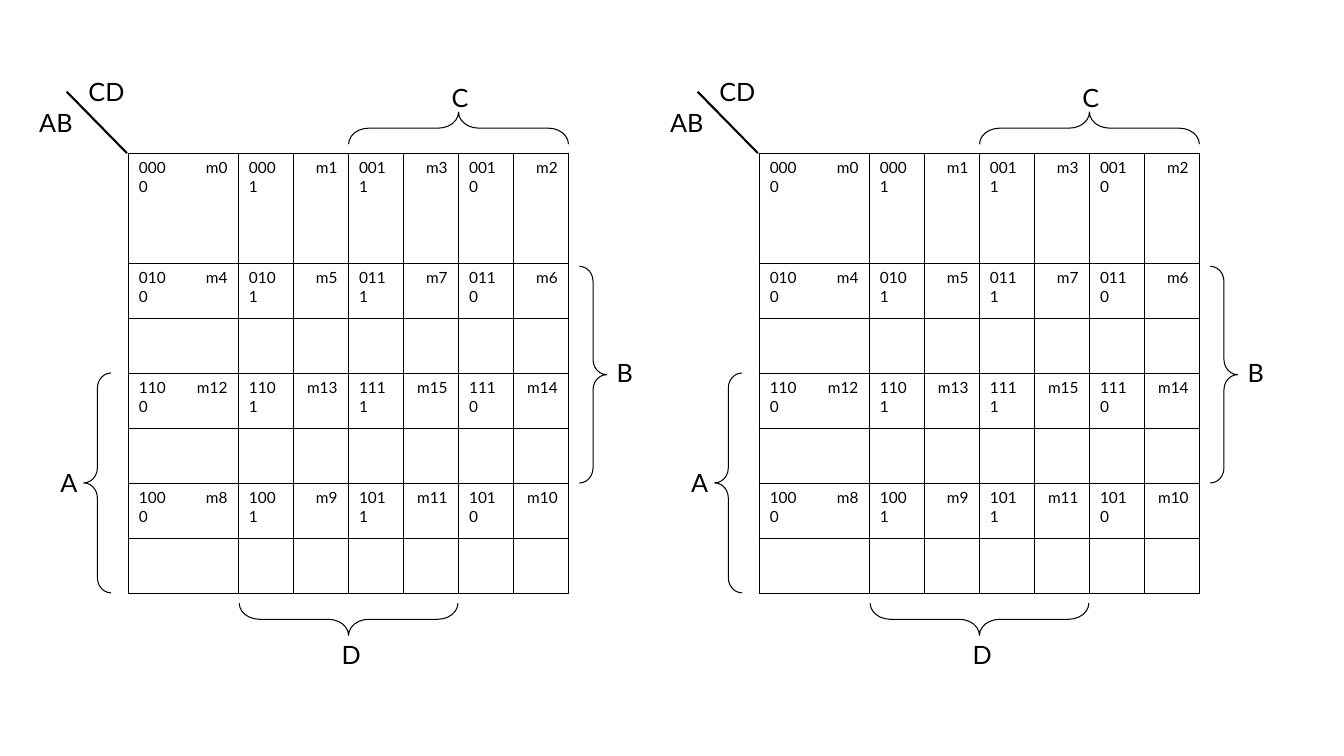
from dataclasses import dataclass

from lxml import etree
from pptx import Presentation
from pptx.dml.color import RGBColor
from pptx.enum.shapes import MSO_CONNECTOR, MSO_SHAPE
from pptx.enum.text import MSO_AUTO_SIZE, PP_ALIGN
from pptx.oxml.ns import qn
from pptx.slide import Slide
from pptx.table import _Cell
from pptx.text.text import _Paragraph
from pptx.util import Cm, Pt

LEFT_BRACE = MSO_SHAPE.LEFT_BRACE
STRAIGHT = MSO_CONNECTOR.STRAIGHT
FIT_SHAPE = MSO_AUTO_SIZE.SHAPE_TO_FIT_TEXT
ALIGN_LEFT = PP_ALIGN.LEFT
ALIGN_RIGHT = PP_ALIGN.RIGHT

BLACK = RGBColor(0, 0, 0)
FONT = "Lato"
PLAIN_TABLE_STYLE = "{2D5ABB26-0587-4C30-8999-92F81FD0307C}"
GRAY_CODE = (0b00, 0b01, 0b11, 0b10)

MAP_OFFSETS = (0, 15.9)
GRID_LEFT, GRID_TOP, GRID_SIZE = 3.23, 3.86, 11.1
GRID_COUNT = 2 * len(GRAY_CODE)
LABEL_HEIGHT = 1.02


@dataclass(frozen=True)
class Brace:
    left: float
    top: float
    width: float
    height: float
    rotation: int
    curve: float


@dataclass(frozen=True)
class Label:
    text: str
    left: float
    top: float
    width: float


BRACES = (
    Brace(2.11, 9.4, 0.69, 5.54, 0, 0.55),
    Brace(11.15, 0.46, 0.81, 5.54, 90, 0.63),
    Brace(8.38, 12.85, 0.81, 5.51, 270, 0.63),
    Brace(14.6, 6.71, 0.69, 5.46, 180, 0.55),
)

LABELS = (
    Label("AB", 0.74, 2.57, 1.37),
    Label("CD", 1.98, 1.8, 1.55),
    Label("A", 1.27, 11.66, 0.86),
    Label("D", 8.36, 15.98, 0.86),
    Label("C", 11.13, 1.96, 0.86),
    Label("B", 15.29, 8.89, 0.86),
)


def format_paragraph(paragraph: _Paragraph, size: int, alignment: PP_ALIGN) -> None:
    paragraph.alignment = alignment
    for run in paragraph.runs:
        run.font.name = FONT
        run.font.size = Pt(size)
        run.font.color.rgb = BLACK


def set_borders(cell: _Cell, sides: tuple[str, str]) -> None:
    properties = cell._tc.get_or_add_tcPr()
    for position, side in enumerate(sides):
        border = etree.Element(qn(f"a:ln{side}"), w=str(Pt(1)))
        fill = etree.SubElement(border, qn("a:solidFill"))
        etree.SubElement(fill, qn("a:srgbClr"), val=str(BLACK))
        properties.insert(position, border)


def write_cell(cell: _Cell, text: str, alignment: PP_ALIGN) -> None:
    cell.text_frame.text = text
    format_paragraph(cell.text_frame.paragraphs[0], 11, alignment)


def draw_grid(slide: Slide, offset: float) -> None:
    size = Cm(GRID_SIZE)
    table = slide.shapes.add_table(
        GRID_COUNT, GRID_COUNT, Cm(GRID_LEFT + offset), Cm(GRID_TOP), size, size
    ).table
    table.first_row = False
    table.horz_banding = False
    table._tbl.tblPr.find(qn("a:tableStyleId")).text = PLAIN_TABLE_STYLE

    for row in range(GRID_COUNT):
        for column in range(GRID_COUNT):
            cell = table.cell(row, column)
            cell.margin_left = cell.margin_right = Cm(0.27)
            cell.margin_top = cell.margin_bottom = Cm(0.13)
            cell.fill.background()
            set_borders(cell, ("LR"[column % 2], "TB"[row % 2]))

    for row, row_code in enumerate(GRAY_CODE):
        for column, column_code in enumerate(GRAY_CODE):
            minterm = 4 * row_code + column_code
            write_cell(table.cell(2 * row, 2 * column), f"{minterm:04b}", ALIGN_LEFT)
            write_cell(table.cell(2 * row, 2 * column + 1), f"m{minterm}", ALIGN_RIGHT)


def draw_brace(slide: Slide, brace: Brace, offset: float) -> None:
    shape = slide.shapes.add_shape(
        LEFT_BRACE,
        Cm(brace.left + offset),
        Cm(brace.top),
        Cm(brace.width),
        Cm(brace.height),
    )
    shape.rotation = brace.rotation
    shape.adjustments[0] = brace.curve
    shape.shadow.inherit = False
    shape.fill.background()
    shape.line.color.rgb = BLACK
    shape.line.width = Pt(0.75)


def draw_corner_line(slide: Slide, offset: float) -> None:
    connector = slide.shapes.add_connector(
        STRAIGHT, Cm(3.2 + offset), Cm(GRID_TOP), Cm(1.68 + offset), Cm(2.31)
    )
    connector.line.color.rgb = BLACK
    connector.line.width = Pt(1.5)
    etree.SubElement(connector._element.spPr, qn("a:effectLst"))


def draw_label(slide: Slide, label: Label, offset: float) -> None:
    shape = slide.shapes.add_textbox(
        Cm(label.left + offset), Cm(label.top), Cm(label.width), Cm(LABEL_HEIGHT)
    )
    text_frame = shape.text_frame
    text_frame.word_wrap = True
    text_frame.auto_size = FIT_SHAPE
    text_frame.text = label.text
    format_paragraph(text_frame.paragraphs[0], 18, ALIGN_LEFT)


def draw_karnaugh_map(slide: Slide, offset: float) -> None:
    draw_grid(slide, offset)
    for brace in BRACES:
        draw_brace(slide, brace, offset)
    draw_corner_line(slide, offset)
    for label in LABELS:
        draw_label(slide, label, offset)


def main() -> None:
    presentation = Presentation()
    presentation.slide_width = Cm(33.87)
    presentation.slide_height = Cm(19.05)
    slide = presentation.slides.add_slide(presentation.slide_layouts[6])
    for offset in MAP_OFFSETS:
        draw_karnaugh_map(slide, offset)
    presentation.save("out.pptx")


if __name__ == "__main__":
    main()
